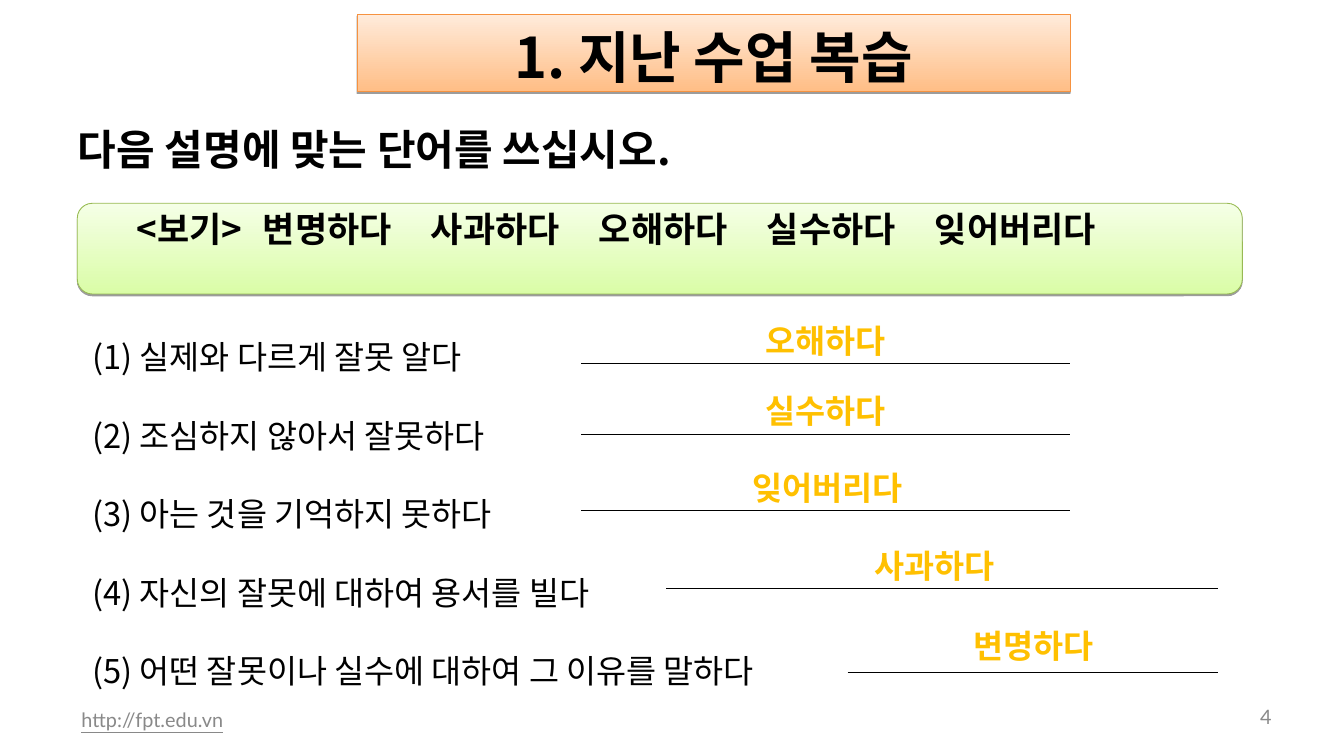
from lxml.etree import SubElement
from pptx import Presentation
from pptx.dml.color import RGBColor
from pptx.enum.shapes import MSO_CONNECTOR, MSO_SHAPE
from pptx.enum.text import MSO_ANCHOR, MSO_AUTO_SIZE, PP_ALIGN
from pptx.oxml.ns import qn
from pptx.util import Inches, Pt

COLORS = {
    "black": "000000", "gray": "898989", "answer": "FFC000",
    "orange": "FFBE86", "light orange": "FFEBDB", "orange edge": "F69240",
    "green": "DAFDA7", "light green": "F5FFE6", "green edge": "98B954",
}
KOREAN, LATIN = "Noto Sans CJK KR", "Lato"

TITLE = "1. 지난 수업 복습"
INSTRUCTION = "다음 설명에 맞는 단어를 쓰십시오."
WORDS = ["<보기>", "변명하다", "사과하다", "오해하다", "실수하다", "잊어버리다"]
QUESTIONS = [
    "실제와 다르게 잘못 알다",
    "조심하지 않아서 잘못하다",
    "아는 것을 기억하지 못하다",
    "자신의 잘못에 대하여 용서를 빌다",
    "어떤 잘못이나 실수에 대하여 그 이유를 말하다",
]
# answer, its left and top, then the start, end and height of its line
ANSWERS = [
    ("오해하다", 8.12, 3.77, 6.92, 12.74, 4.33),
    ("실수하다", 8.12, 4.6, 6.92, 12.74, 5.17),
    ("잊어버리다", 8.14, 5.52, 6.92, 12.74, 6.08),
    ("사과하다", 9.42, 6.45, 7.93, 14.5, 7),
    ("변명하다", 10.59, 7.4, 10.09, 14.5, 8),
]
WORD_INDENT, FIRST_TAB, TAB_STEP = 0.56, 2.49, 2.115


def rgb(name):
    return RGBColor.from_string(COLORS[name])


def write(shape, lines, size, color="black", font=KOREAN, bold=False, underline=False,
          align=PP_ALIGN.LEFT, anchor=MSO_ANCHOR.TOP, spacing=1.0,
          insets=(0.1, 0.05), grow=False):
    frame = shape.text_frame
    frame.word_wrap = True
    frame.auto_size = MSO_AUTO_SIZE.SHAPE_TO_FIT_TEXT if grow else MSO_AUTO_SIZE.NONE
    frame.vertical_anchor = anchor
    frame.margin_left = frame.margin_right = Inches(insets[0])
    frame.margin_top = frame.margin_bottom = Inches(insets[1])
    frame.text = "\n".join(lines)
    for paragraph in frame.paragraphs:
        paragraph.alignment = align
        paragraph.line_spacing = spacing
        for run in paragraph.runs:
            run.font.size = Pt(size)
            run.font.bold = bold
            run.font.underline = underline
            run.font.color.rgb = rgb(color)
            run.font.name = font
            SubElement(run.font._element, qn("a:ea"), typeface=font)


def add_text(slide, box, lines, size, **style):
    shape = slide.shapes.add_textbox(*map(Inches, box))
    write(shape, lines, size, **style)


def paint(shape, bottom, top, edge):
    shape.fill.gradient()
    shape.fill.gradient_angle = 90
    for stop, color in zip(shape.fill.gradient_stops, (bottom, top)):
        stop.color.rgb = rgb(color)
    shape.line.color.rgb = rgb(edge)
    shape.line.width = Pt(0.75)
    effects = SubElement(shape._element.spPr, qn("a:effectLst"))
    shadow = SubElement(effects, qn("a:outerShdw"), blurRad="0", dist=str(Pt(1.6)),
                        dir="5400000", rotWithShape="0")
    shade = SubElement(shadow, qn("a:srgbClr"), val=COLORS["black"])
    SubElement(shade, qn("a:alpha"), val="38000")


def add_answer_line(slide, start, end, y):
    line = slide.shapes.add_connector(
        MSO_CONNECTOR.STRAIGHT, Inches(start), Inches(y), Inches(end), Inches(y))
    line.line.color.rgb = rgb("black")
    line.line.width = Pt(0.75)
    SubElement(line._element.spPr, qn("a:effectLst"))


def add_word_bank(slide):
    bank = slide.shapes.add_shape(
        MSO_SHAPE.ROUNDED_RECTANGLE, Inches(0.92), Inches(2.42), Inches(13.87), Inches(1.08))
    paint(bank, "green", "light green", "green edge")
    write(bank, ["\t".join(WORDS)], 30, bold=True, insets=(0.1, 0))
    properties = bank.text_frame.paragraphs[0]._p.get_or_add_pPr()
    properties.set("marL", str(Inches(WORD_INDENT)))
    properties.set("indent", "0")
    tabs = SubElement(properties, qn("a:tabLst"))
    for index in range(len(WORDS) - 1):
        position = Inches(FIRST_TAB + index * TAB_STEP)
        SubElement(tabs, qn("a:tab"), pos=str(position), algn="l")


def main():
    presentation = Presentation()
    presentation.slide_width, presentation.slide_height = Inches(16), Inches(9)
    slide = presentation.slides.add_slide(presentation.slide_layouts[5])

    # Title and instruction
    title = slide.shapes.title
    title.left, title.top = Inches(4.25), Inches(0.17)
    title.width, title.height = Inches(8.49), Inches(0.92)
    paint(title, "orange", "light orange", "orange edge")
    write(title, [TITLE], 48, bold=True, align=PP_ALIGN.CENTER, insets=(0.1, 0.1))
    add_text(slide, (0.83, 1.42, 13.95, 0.7), [INSTRUCTION], 36, bold=True, grow=True)

    add_word_bank(slide)

    # Questions and answers
    questions = [f"({number}) {text}" for number, text in enumerate(QUESTIONS, 1)]
    add_text(slide, (1, 3.5, 10.17, 4.77), questions, 28, spacing=2.0, grow=True)
    for word, left, top, start, end, y in ANSWERS:
        add_answer_line(slide, start, end, y)
        add_text(slide, (left, top, 3.42, 0.57), [word], 28, color="answer", bold=True,
                 align=PP_ALIGN.CENTER, grow=True)

    # Footer
    footer = dict(color="gray", font=LATIN, anchor=MSO_ANCHOR.MIDDLE, insets=(0.14, 0.07))
    add_text(slide, (0.83, 8.33, 5.07, 0.48), ["http://fpt.edu.vn"], 17,
             underline=True, **footer)
    add_text(slide, (14.5, 8.33, 0.78, 0.41), ["4"], 17, align=PP_ALIGN.RIGHT, **footer)

    presentation.save("out.pptx")


if __name__ == "__main__":
    main()
